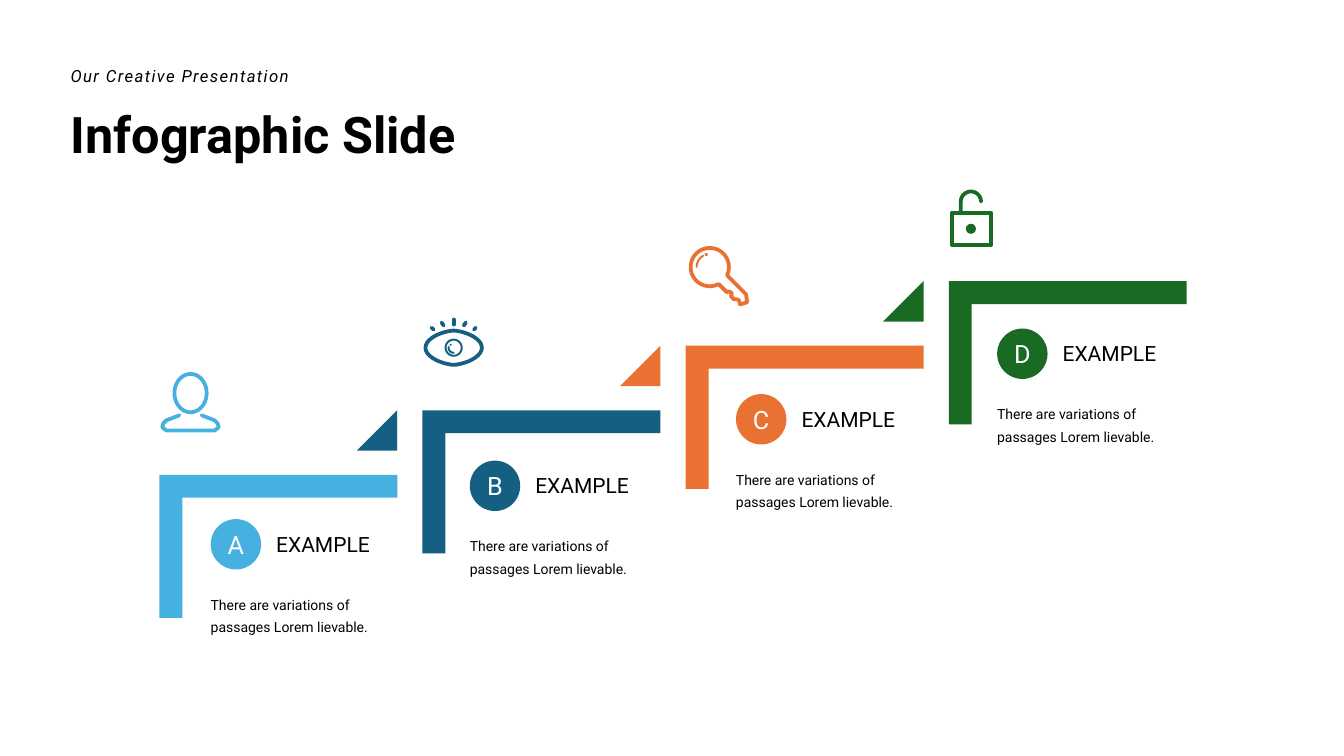
from dataclasses import dataclass
from math import cos, radians, sin

from lxml import etree
from pptx import Presentation
from pptx.dml.color import RGBColor
from pptx.enum.shapes import MSO_SHAPE
from pptx.enum.text import MSO_ANCHOR, PP_ALIGN
from pptx.oxml.ns import qn
from pptx.util import Inches, Pt

OVAL, CORNER, WEDGE = MSO_SHAPE.OVAL, MSO_SHAPE.CORNER, MSO_SHAPE.ISOSCELES_TRIANGLE
LEFT, CENTER = PP_ALIGN.LEFT, PP_ALIGN.CENTER
TOP, MIDDLE = MSO_ANCHOR.TOP, MSO_ANCHOR.MIDDLE


@dataclass(frozen=True)
class Theme:
    font: str = "Roboto"
    ink: str = "000000"
    paper: str = "FFFFFF"
    steps: tuple = ("46B1E1", "156082", "E97132", "196B24")
    title: int = 36
    badge: int = 18
    head: int = 15
    lead: int = 12
    body: int = 10
    bold: float = 2.7
    thin: float = 1.4


THEME = Theme()
WIDE, HIGH = 13.33, 7.5
ARM_W, ARM_H, BAR = 2.36, 1.42, 0.16
FIRST_X, FIRST_Y = 1.58, 4.71
STEP_X, STEP_Y = 2.61, -0.64
WEDGE_SIZE, BADGE_SIZE = 0.4, 0.5


def rgb(color):
    return RGBColor.from_string(color)


def write(frame, text, size, color=THEME.ink, align=LEFT, anchor=TOP, inset=0):
    frame.word_wrap = True
    frame.vertical_anchor = anchor
    frame.margin_left = frame.margin_right = Inches(inset)
    frame.margin_top = frame.margin_bottom = Inches(0.05)
    frame.text = text
    para = frame.paragraphs[0]
    para.alignment = align
    para.space_before = Pt(0)
    font = para.font
    font.name, font.size = THEME.font, Pt(size)
    font.bold = font.italic = False
    font.color.rgb = rgb(color)
    return para


def label(slide, box, text, size):
    area = slide.shapes.add_textbox(*map(Inches, box))
    return write(area.text_frame, text, size)


def solid(slide, kind, box, color):
    shape = slide.shapes.add_shape(kind, *map(Inches, box))
    shape.shadow.inherit = False
    shape.fill.solid()
    shape.fill.fore_color.rgb = rgb(color)
    shape.line.fill.background()
    return shape


def arc(x, y, wide, high, start=0, end=360, power=1):
    """Points on an oval; a power above 1 draws its sides to a point."""
    points = []
    for step in range(41):
        angle = radians(start + (end - start) * step / 40)
        across = cos(angle)
        across *= abs(across) ** (power - 1)
        points.append((x + wide * across, y + high * sin(angle)))
    return points


class Pen:
    """Draws an icon in one colour, measured from its top left corner."""

    def __init__(self, slide, x, y, color):
        self.slide, self.x, self.y, self.color = slide, x, y, color

    def trace(self, points, width=THEME.bold, close=False):
        spots = [(Inches(self.x + x), Inches(self.y + y)) for x, y in points]
        form = self.slide.shapes.build_freeform(*spots[0])
        form.add_line_segments(spots[1:], close=close)
        shape = form.convert_to_shape()
        shape.shadow.inherit = False
        shape.fill.background()
        shape.line.width = Pt(width)
        shape.line.color.rgb = rgb(self.color)
        stroke = shape.line._get_or_add_ln()
        stroke.set("cap", "rnd")
        etree.SubElement(stroke, qn("a:round"))

    def dot(self, x, y, size):
        box = (self.x + x, self.y + y, size, size)
        solid(self.slide, OVAL, box, self.color)


def draw_user(pen):
    pen.trace(arc(0.29, 0.2, 0.16, 0.19), close=True)
    half = [(0.11, 0.42), (0.24, 0.47), (0.27, 0.5), (0.28, 0.54), (0.24, 0.57)]
    right = [(0.29 + x, y) for x, y in half]
    left = [(0.29 - x, y) for x, y in reversed(half)]
    pen.trace(right + left)


def draw_eye(pen):
    pen.trace(arc(0.3, 0.3, 0.28, 0.17, power=1.3), close=True)
    pen.trace(arc(0.3, 0.3, 0.08, 0.08), THEME.thin, close=True)
    pen.trace(arc(0.3, 0.3, 0.05, 0.05, 90, 190), THEME.thin)
    pen.dot(0.26, 0.26, 0.02)
    pen.trace([(0.3, 0.02), (0.3, 0.07)])
    for side in (-1, 1):
        for far, top, near, end in ((0.12, 0.05, 0.1, 0.08), (0.22, 0.1, 0.2, 0.12)):
            pen.trace([(0.3 + side * far, top), (0.3 + side * near, end)])


def draw_key(pen):
    blade = [(0.31, 0.38), (0.38, 0.45), (0.4, 0.44), (0.43, 0.46),
             (0.42, 0.49), (0.45, 0.52), (0.48, 0.52), (0.5, 0.53),
             (0.51, 0.57), (0.58, 0.55), (0.57, 0.47), (0.39, 0.29)]
    pen.trace(blade + arc(0.21, 0.2, 0.19, 0.19, 25, -298), close=True)
    pen.trace(arc(0.21, 0.2, 0.13, 0.13, 180, 240), THEME.thin)
    pen.dot(0.16, 0.06, 0.03)


def draw_lock(pen):
    pen.trace([(0.02, 0.23), (0.41, 0.23), (0.41, 0.55), (0.02, 0.55)], close=True)
    pen.trace([(0.11, 0.23)] + arc(0.21, 0.12, 0.1, 0.1, 180, 360))
    pen.dot(0.16, 0.34, 0.1)


def add_head(slide):
    title, lead = slide.placeholders
    parts = ((title, (0.6, 0.97, 4.44, 0.71), "Infographic Slide", THEME.title),
             (lead, (0.6, 0.6, 2.99, 0.3), "Our Creative Presentation", THEME.lead))
    for holder, box, text, size in parts:
        holder.left, holder.top, holder.width, holder.height = map(Inches, box)
        write(holder.text_frame, text, size, inset=0.1)
    title.text_frame.paragraphs[0].font.bold = True
    para = lead.text_frame.paragraphs[0]
    para.font.italic = True
    para._p.get_or_add_pPr().get_or_add_defRPr().set("spc", "100")


def add_arm(slide, x, y, color):
    """Place a corner turned a quarter, so that its bars lie top and left."""
    shift = (ARM_W - ARM_H) / 2
    arm = solid(slide, CORNER, (x + shift, y - shift, ARM_H, ARM_W), color)
    arm.rotation = 90
    arm.adjustments[0] = arm.adjustments[1] = BAR


def add_wedge(slide, x, y, color):
    wedge = solid(slide, WEDGE, (x, y, WEDGE_SIZE, WEDGE_SIZE), color)
    wedge.adjustments[0] = 1


def add_note(slide, x, y, letter, color):
    badge = solid(slide, OVAL, (x, y, BADGE_SIZE, BADGE_SIZE), color)
    write(badge.text_frame, letter, THEME.badge, THEME.paper, CENTER, MIDDLE)
    label(slide, (x + 0.65, y + 0.07, 1.13, 0.35), "EXAMPLE", THEME.head)
    body = label(slide, (x, y + 0.66, 1.96, 0.53),
                 "There are variations of passages Lorem lievable.", THEME.body)
    body.line_spacing = Pt(16)


def add_stairs(slide):
    # Letter, icon, icon offset and badge offset, both from the arm's corner
    steps = (("A", draw_user, (0.02, -1.01), (0.51, 0.44)),
             ("B", draw_eye, (0.01, -0.92), (0.47, 0.5)),
             ("C", draw_key, (0.03, -0.98), (0.5, 0.48)),
             ("D", draw_lock, (0.01, -0.91), (0.48, 0.47)))
    for index, (letter, draw, icon, note) in enumerate(steps):
        x, y = FIRST_X + index * STEP_X, FIRST_Y + index * STEP_Y
        color = THEME.steps[index]
        if index:
            add_wedge(slide, x - 0.65, y, color)
        add_arm(slide, x, y, color)
        draw(Pen(slide, x + icon[0], y + icon[1], color))
        add_note(slide, x + note[0], y + note[1], letter, color)


def main():
    deck = Presentation()
    deck.slide_width, deck.slide_height = Inches(WIDE), Inches(HIGH)
    slide = deck.slides.add_slide(deck.slide_layouts[0])
    add_head(slide)
    add_stairs(slide)
    deck.save("out.pptx")


if __name__ == "__main__":
    main()
